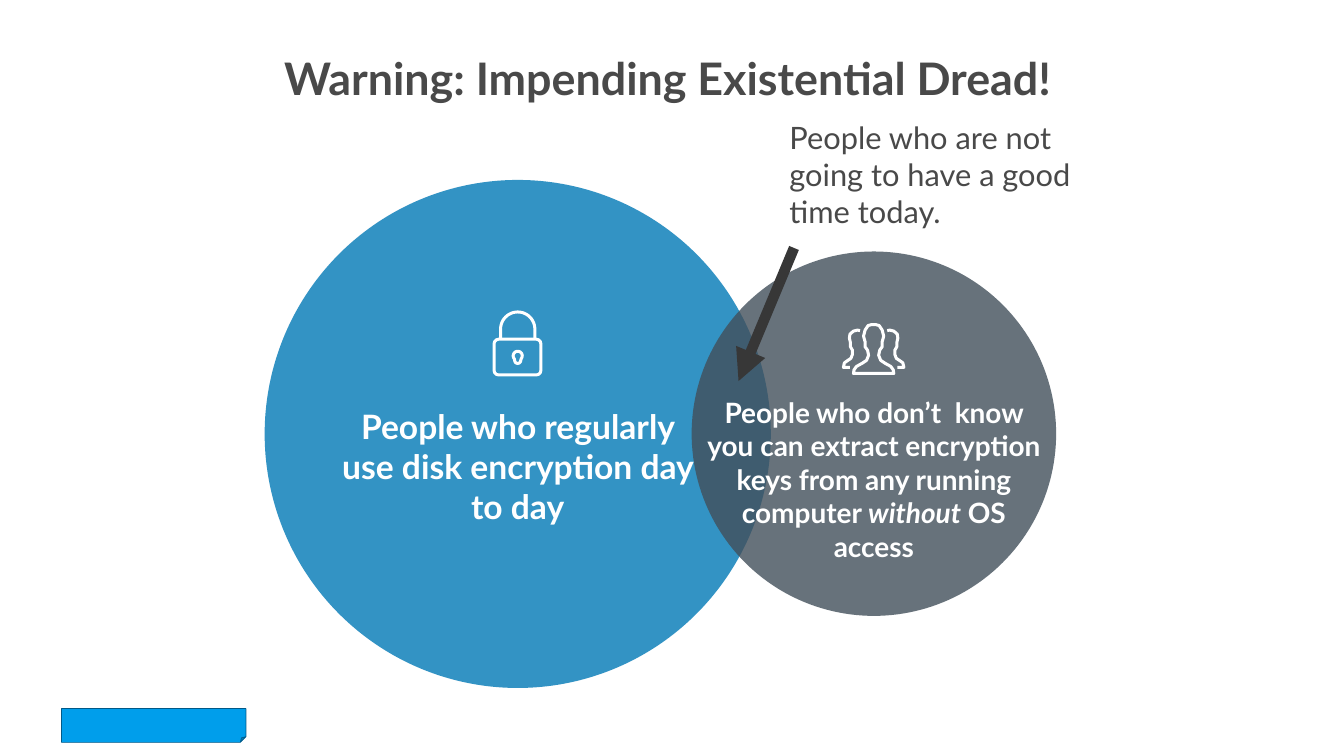
from dataclasses import dataclass
from math import cos, pi, sin

from lxml.etree import SubElement
from pptx import Presentation
from pptx.dml.color import RGBColor
from pptx.enum.shapes import MSO_CONNECTOR, MSO_SHAPE
from pptx.enum.text import MSO_ANCHOR, MSO_AUTO_SIZE, PP_ALIGN
from pptx.oxml.ns import qn
from pptx.shapes.base import BaseShape
from pptx.slide import Slide
from pptx.text.text import _Paragraph as Paragraph
from pptx.util import Inches, Pt

FONT = "Lato"
COLORS = {
    "text": "494949",
    "white": "FFFFFF",
    "users": "0178B6",
    "unaware": "424F5A",
    "arrow": "373737",
    "tag": "009EEB",
    "tag_line": "015987",
}
ICON_LINE = 4.3
Point = tuple[float, float]


@dataclass(frozen=True)
class Box:
    left: float
    top: float
    width: float
    height: float

    def lengths(self) -> list[Inches]:
        return [Inches(v) for v in (self.left, self.top, self.width, self.height)]


@dataclass(frozen=True)
class Circle:
    box: Box
    color: str


@dataclass(frozen=True)
class Label:
    box: Box
    runs: tuple[tuple[str, bool], ...]  # text, italic
    size: int
    color: str = "white"
    bold: bool = True
    align: PP_ALIGN = PP_ALIGN.CENTER


CIRCLES = (
    Circle(Box(5.25, 3.57, 10.04, 10.08), "users"),
    Circle(Box(13.72, 4.99, 7.23, 7.23), "unaware"),
)
LABELS = (
    Label(Box(15.56, 2.3, 6.85, 2.32),
          (("People who are not going to have a good time today.", False),),
          44, "text", False, PP_ALIGN.LEFT),
    Label(Box(6.55, 8, 7.44, 3.33),
          (("People who regularly use disk encryption day to day", False),), 48),
    Label(Box(13.92, 7.79, 6.83, 4.07),
          (("People who don’t  know you can extract encryption keys "
            "from any running computer ", False),
           ("without", True), (" OS access", False)), 40),
)

LOCK_X = 10.27
PEOPLE_X = 17.33
# Right half of the front person, from the middle of the base to the crown
FRONT_HALF = [
    (17.33, 7.41), (17.73, 7.41), (17.72, 7.34), (17.67, 7.27), (17.56, 7.21),
    (17.47, 7.15), (17.43, 7.05), (17.45, 6.95), (17.5, 6.88), (17.5, 6.78),
    (17.53, 6.67), (17.5, 6.55), (17.44, 6.46), (17.37, 6.44), (17.33, 6.44),
]
BACK_PERSON = [
    (17.6, 6.56), (17.65, 6.55), (17.73, 6.57), (17.8, 6.63), (17.81, 6.71),
    (17.79, 6.8), (17.79, 6.88), (17.75, 6.95), (17.75, 7.03), (17.78, 7.11),
    (17.84, 7.15), (17.91, 7.2), (17.93, 7.29), (17.8, 7.29),
]


def color(name: str) -> RGBColor:
    return RGBColor.from_string(COLORS[name])


def style_font(paragraph: Paragraph, size: int, color_name: str, bold: bool) -> None:
    font = paragraph.font
    font.name, font.size, font.bold = FONT, Pt(size), bold
    font.color.rgb = color(color_name)


def add_circle(slide: Slide, circle: Circle) -> None:
    shape = slide.shapes.add_shape(MSO_SHAPE.OVAL, *circle.box.lengths())
    shape.shadow.inherit = False
    shape.fill.solid()
    shape.fill.fore_color.rgb = color(circle.color)
    shape.line.fill.background()
    fill_color = shape.fill._xPr.find(qn("a:solidFill"))[0]
    SubElement(fill_color, qn("a:alpha"), val="80000")


def add_label(slide: Slide, label: Label) -> None:
    frame = slide.shapes.add_textbox(*label.box.lengths()).text_frame
    frame.word_wrap = True
    paragraph = frame.paragraphs[0]
    paragraph.alignment = label.align
    style_font(paragraph, label.size, label.color, label.bold)
    for text, italic in label.runs:
        run = paragraph.add_run()
        run.text = text
        if italic:
            run.font.italic = True


def outline(shape: BaseShape) -> None:
    """Leave only a white icon stroke on the shape."""
    shape.shadow.inherit = False
    shape.fill.background()
    shape.line.color.rgb = color("white")
    shape.line.width = Pt(ICON_LINE)


def add_stroke(slide: Slide, points: list[Point], close: bool = False) -> None:
    start, *rest = [(Inches(x), Inches(y)) for x, y in points]
    builder = slide.shapes.build_freeform(*start)
    builder.add_line_segments(rest, close=close)
    outline(builder.convert_to_shape())


def arc(x: float, y: float, radius: float, start: float, end: float) -> list[Point]:
    """Points along an arc; angles in degrees, clockwise from the right."""
    steps = 24
    angles = [(start + (end - start) * i / steps) * pi / 180 for i in range(steps + 1)]
    return [(x + radius * cos(a), y + radius * sin(a)) for a in angles]


def mirror(points: list[Point], axis: float) -> list[Point]:
    return [(2 * axis - x, y) for x, y in points]


def add_lock(slide: Slide) -> None:
    body = slide.shapes.add_shape(MSO_SHAPE.ROUNDED_RECTANGLE,
                                  *Box(9.8, 6.73, 0.93, 0.71).lengths())
    body.adjustments[0] = 0.13
    outline(body)
    radius = 0.34
    add_stroke(slide, [(LOCK_X - radius, 6.73),
                       *arc(LOCK_X, 6.53, radius, 180, 360),
                       (LOCK_X + radius, 6.73)])
    add_stroke(slide, arc(LOCK_X, 7.06, 0.09, 140, 400)
               + arc(LOCK_X, 7.15, 0.06, 0, 180), close=True)


def add_people(slide: Slide) -> None:
    add_stroke(slide, FRONT_HALF + mirror(FRONT_HALF, PEOPLE_X)[::-1], close=True)
    for person in (BACK_PERSON, mirror(BACK_PERSON, PEOPLE_X)):
        add_stroke(slide, person)


def add_arrow(slide: Slide, start: Point, end: Point) -> None:
    arrow = slide.shapes.add_connector(MSO_CONNECTOR.STRAIGHT,
                                       *[Inches(v) for v in (*start, *end)])
    arrow.line.color.rgb = color("arrow")
    arrow.line.width = Pt(15)
    SubElement(arrow.line._get_or_add_ln(), qn("a:tailEnd"), type="triangle")
    SubElement(arrow._element.spPr, qn("a:effectLst"))


def add_corner_tag(slide: Slide) -> None:
    tag = slide.shapes.add_shape(MSO_SHAPE.FOLDED_CORNER,
                                 *Box(1.22, 14.06, 3.66, 0.67).lengths())
    tag.shadow.inherit = False
    tag.fill.solid()
    tag.fill.fore_color.rgb = color("tag")
    tag.line.color.rgb = color("tag_line")
    tag.line.width = Pt(1)


def set_title(slide: Slide, text: str) -> None:
    title = slide.shapes.title
    title.left, title.top, title.width, title.height = Box(5.52, 0.99, 15.44, 1.08).lengths()
    frame = title.text_frame
    frame.text = text
    frame.margin_left = frame.margin_right = frame.margin_top = frame.margin_bottom = 0
    frame.word_wrap = False
    frame.auto_size = MSO_AUTO_SIZE.NONE
    frame.vertical_anchor = MSO_ANCHOR.MIDDLE
    paragraph = frame.paragraphs[0]
    paragraph.alignment = PP_ALIGN.CENTER
    style_font(paragraph, 64, "text", True)


def main() -> None:
    presentation = Presentation()
    presentation.slide_width, presentation.slide_height = Inches(26.66), Inches(15)
    slide = presentation.slides.add_slide(presentation.slide_layouts[5])
    set_title(slide, "Warning: Impending Existential Dread!")
    add_corner_tag(slide)
    for circle in CIRCLES:
        add_circle(slide, circle)
    add_people(slide)
    add_arrow(slide, (15.75, 4.92), (14.65, 7.56))
    add_lock(slide)
    for label in LABELS:
        add_label(slide, label)
    presentation.save("out.pptx")


if __name__ == "__main__":
    main()
